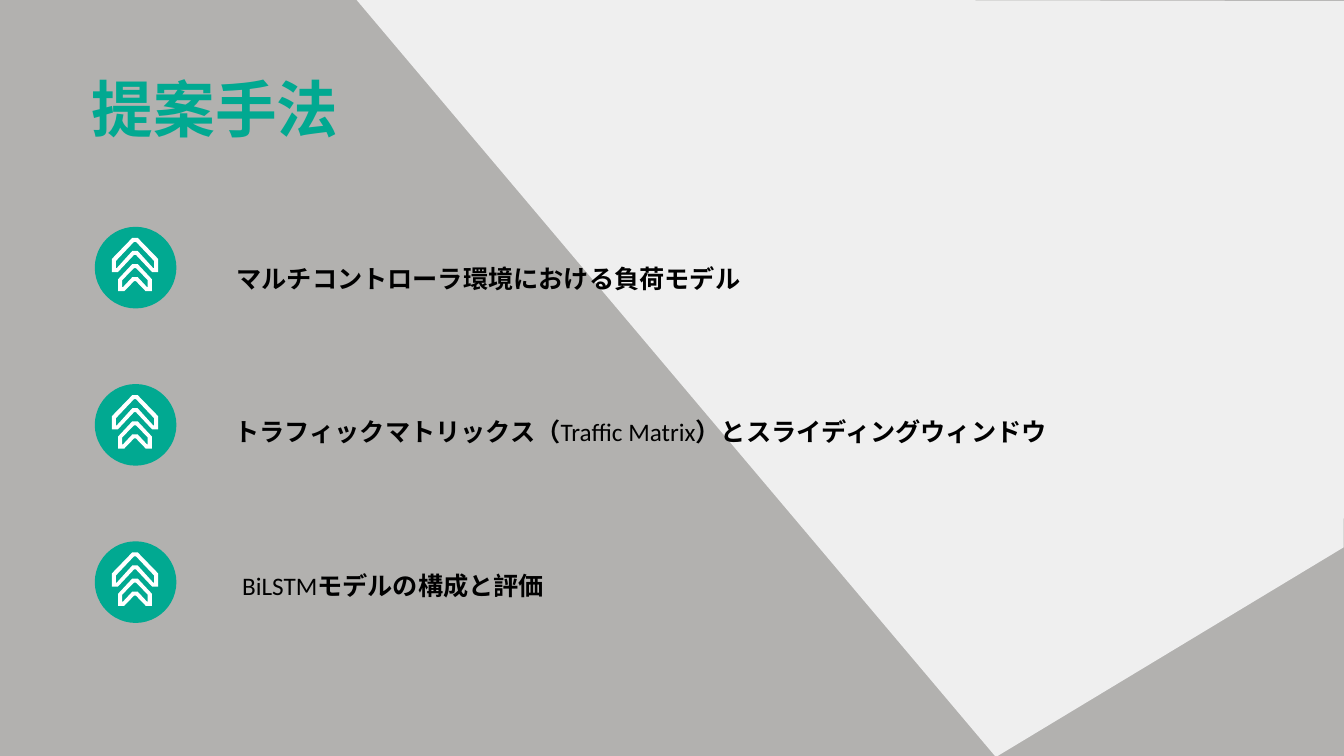
from pptx import Presentation
from pptx.dml.color import RGBColor
from pptx.enum.shapes import MSO_SHAPE
from pptx.enum.text import MSO_AUTO_SIZE, PP_ALIGN
from pptx.oxml.ns import qn
from pptx.util import Emu, Pt

PX = 3048  # EMU per px, 300 px to the inch

GREY = RGBColor(0xB2, 0xB1, 0xAF)
PALE = RGBColor(0xEF, 0xEF, 0xEF)
TEAL = RGBColor(0x01, 0xA9, 0x91)
WHITE = RGBColor(0xFF, 0xFF, 0xFF)
BLACK = RGBColor(0x00, 0x00, 0x00)

CJK = "Noto Sans CJK SC"
JAPANESE = {"font": "Roboto", "bold": True}
LATIN = {"font": "Calibri", "bold": False}

PANEL = [(1059, -3), (4005, 3), (3999, 1629), (2964, 2253)]

BADGE_LEFT, BADGE_TOP, BADGE_SIZE, BADGE_PITCH = 282, 675, 243, 468
ICON_CENTRE, ICON_DROP = 402, 33
# Right halves of the chevron outlines and their holes: distance from the axis, depth
CHEVRON_HALVES = [
    [(8, 78), (50, 123), (50, 159), (32, 159), (3, 129)],
    [(3, 90), (38, 126), (38, 147), (36, 147), (8, 117)],
    [(8, 0), (69, 63), (69, 102), (51, 102), (3, 51)],
    [(3, 12), (57, 69), (57, 90), (54, 90), (8, 39)],
]

# Each topic: text box (left, top, width, height) and its runs
TOPICS = [
    ((642, 723, 1623, 150), [("マルチコントローラ環境における負荷モデル", JAPANESE)]),
    ((576, 1179, 2661, 153), [
        ("トラフィックマトリックス（", JAPANESE),
        ("Traffic Matrix", LATIN),
        ("）とスライディングウィンドウ", JAPANESE),
    ]),
    ((642, 1638, 1056, 153), [("BiLSTM", LATIN), ("モデルの構成と評価", JAPANESE)]),
]


def paint(shape, color):
    shape.shadow.inherit = False
    shape.fill.solid()
    shape.fill.fore_color.rgb = color
    shape.line.fill.background()


def add_outline(page, contours, color):
    """Draw closed contours as one shape; a contour inside another is a hole."""
    first, *others = contours
    builder = page.shapes.build_freeform(*first[0], scale=PX)
    builder.add_line_segments(first[1:], close=True)
    for contour in others:
        builder.move_to(*contour[0])
        builder.add_line_segments(contour[1:], close=True)
    paint(builder.convert_to_shape(), color)


def add_span(para, text, *, font, size, color, bold=False):
    span = para.add_run()
    span.text = text
    span.font.name = font
    span.font.size = Pt(size)
    span.font.bold = bold
    span.font.color.rgb = color
    east_asian = span.font._element.makeelement(qn("a:ea"), {"typeface": font})
    span.font._element.find(qn("a:latin")).addnext(east_asian)


def add_text(page, place, spans, *, size, color, wrap=True, spacing=None):
    box = page.shapes.add_textbox(*(Emu(length * PX) for length in place))
    frame = box.text_frame
    frame.word_wrap = wrap
    frame.auto_size = MSO_AUTO_SIZE.SHAPE_TO_FIT_TEXT
    para = frame.paragraphs[0]
    para.alignment = PP_ALIGN.CENTER
    para.line_spacing = spacing
    for text, style in spans:
        add_span(para, text, size=size, color=color, **style)


def add_badge(page, top):
    """Draw a teal disc with two upward chevrons."""
    disc = page.shapes.add_shape(
        MSO_SHAPE.OVAL, BADGE_LEFT * PX, top * PX, BADGE_SIZE * PX, BADGE_SIZE * PX
    )
    paint(disc, TEAL)
    contours = []
    for half in CHEVRON_HALVES:
        points = half + [(-across, down) for across, down in reversed(half)]
        contours.append(
            [(ICON_CENTRE + across, top + ICON_DROP + down) for across, down in points]
        )
    add_outline(page, contours, WHITE)


def main():
    deck = Presentation()
    deck.slide_width = Emu(4000 * PX)
    deck.slide_height = Emu(2250 * PX)
    page = deck.slides.add_slide(deck.slide_layouts[6])
    page.background.fill.solid()
    page.background.fill.fore_color.rgb = GREY

    add_outline(page, [PANEL], PALE)
    add_text(page, (240, 195, 801, 252), [("提案手法", {"font": CJK, "bold": True})],
             size=44, color=TEAL, wrap=False)
    for row, (place, spans) in enumerate(TOPICS):
        add_badge(page, BADGE_TOP + row * BADGE_PITCH)
        add_text(page, place, spans, size=18, color=BLACK, spacing=1.5)

    deck.save("out.pptx")


if __name__ == "__main__":
    main()
